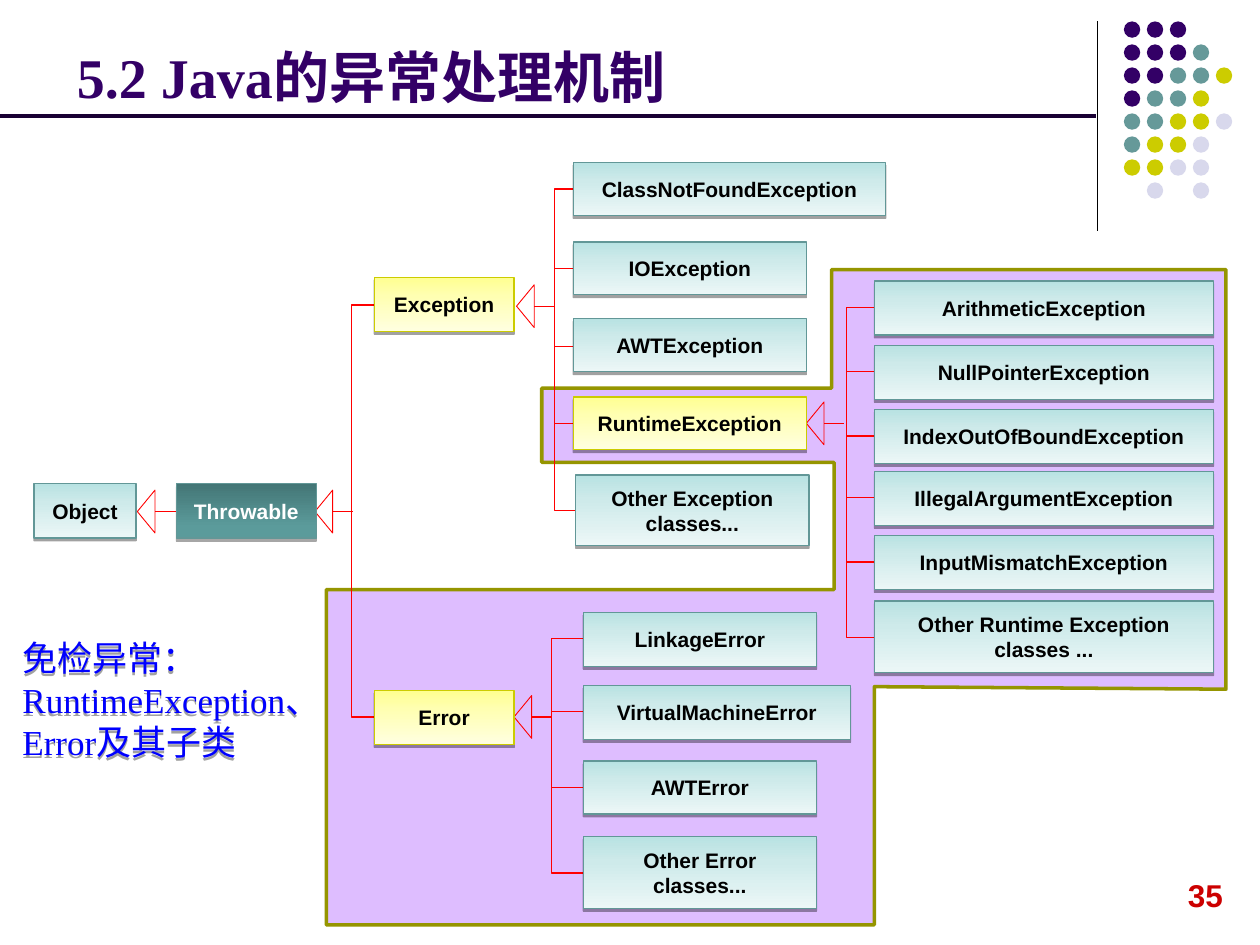
from copy import deepcopy
from dataclasses import dataclass

from lxml import etree
from pptx import Presentation, util as u
from pptx.dml.color import RGBColor
from pptx.enum import shapes, text
from pptx.oxml.ns import qn

PX = 9144


@dataclass(frozen=True)
class BoxStyle:
    """Look of one kind of class box."""
    stops: tuple
    line: str
    ink: str = "000000"
    shadow_alpha: int = 37
    shadow_distance: float = 1.6


@dataclass(frozen=True)
class Theme:
    """Colours, fonts and type sizes of the slide."""
    title: str = "330066"
    rule: str = "190033"
    divider: str = "000000"
    wire: str = "FF0000"
    note: str = "0000FF"
    number: str = "CC0000"
    region: str = "AD5CFF"
    region_line: str = "959500"
    sans: str = "Arial"
    serif: str = "Times New Roman"
    title_size: int = 32
    note_size: int = 20
    number_size: int = 18
    box_size: int = 12


THEME = Theme()
DOT_COLOURS = {"P": "330066", "T": "669999", "Y": "CCCC00", "L": "D8D8EC"}
DOT_ROWS = ("PPP", "PPPT", "PPTTY", "PTTY", "TTYYL", "TYYL", "YYLL", " L L")
PLAIN = BoxStyle(((0, "B8E2E2"), (0.35, "CEEAEA"), (1, "ECF7F7")), "629797")
PARENT = BoxStyle(((0, "FFFF90"), (0.35, "FFFFB2"), (1, "FFFFE0")), "CCCC00")
ROOT = BoxStyle(((0, "447676"), (0.8, "5B9B9B"), (1, "5A9D9D")), "629797", "FFFFFF", 34, 1.8)

REGION = ((430, 308), (660, 308), (660, 214), (973, 214), (973, 547), (694, 545),
          (694, 734), (259, 734), (259, 468), (662, 468), (662, 367), (430, 367))
BOXES = (
    (PLAIN, "Object", 27, 384, 81, 43),
    (ROOT, "Throwable", 140, 384, 111, 43),
    (PARENT, "Exception", 297, 220, 111, 43),
    (PARENT, "Error", 297, 548, 111, 43),
    (PLAIN, "ClassNotFoundException", 455, 129, 248, 42),
    (PLAIN, "IOException", 455, 192, 185, 42),
    (PLAIN, "AWTException", 455, 253, 185, 42),
    (PARENT, "RuntimeException", 455, 315, 185, 42),
    (PLAIN, "Other Exception classes...", 457, 377, 185, 56),
    (PLAIN, "LinkageError", 463, 486, 185, 43),
    (PLAIN, "VirtualMachineError", 463, 544, 212, 43),
    (PLAIN, "AWTError", 463, 604, 185, 42),
    (PLAIN, "Other Error classes...", 463, 664, 185, 57),
    (PLAIN, "ArithmeticException", 694, 223, 269, 43),
    (PLAIN, "NullPointerException", 694, 274, 269, 43),
    (PLAIN, "IndexOutOfBoundException", 694, 325, 269, 43),
    (PLAIN, "IllegalArgumentException", 694, 374, 269, 43),
    (PLAIN, "InputMismatchException", 694, 425, 269, 43),
    (PLAIN, "Other Runtime Exception classes ...", 694, 477, 269, 57),
)
ARROWS = ((109, 406, 153), (250, 406, 280), (410, 243, 440), (408, 569, 437), (640, 336, 670))
BRACKETS = (
    (297, 279, ((242, 569),)),
    (455, 440, ((150, 405), (213, 275), (275, 336))),
    (463, 438, ((507, 693), (565, 625))),
    (694, 672, ((244, 506), (295, 395), (346, 446))),
)


def px(*lengths):
    """Turn lengths in px into EMU."""
    return [u.Emu(round(length * PX)) for length in lengths]


def set_font(paragraph, name, size, colour, bold=False):
    """Set the font of a whole paragraph."""
    font = paragraph.font
    font.name, font.size, font.bold = name, u.Pt(size), bold
    font.color.rgb = RGBColor.from_string(colour)


def set_line(shape, colour, width):
    """Set the colour and width of an outline."""
    shape.line.color.rgb = RGBColor.from_string(colour)
    shape.line.width = u.Pt(width)


def add_shadow(shape, alpha, distance):
    """Give a shape a sharp shadow straight below it."""
    shape.shadow.inherit = False
    effects = shape._element.spPr.find(qn("a:effectLst"))
    shadow = etree.SubElement(effects, qn("a:outerShdw"), blurRad="0", dist=str(u.Pt(distance)),
                              dir="5400000", algn="ctr", rotWithShape="0")
    colour = etree.SubElement(shadow, qn("a:srgbClr"), val="000000")
    etree.SubElement(colour, qn("a:alpha"), val=str(alpha * 1000))


def add_line(parent, start, end, colour, width, kind=shapes.MSO_CONNECTOR.STRAIGHT):
    """Draw a connector without a shadow."""
    line = parent.add_connector(kind, *px(*start, *end))
    set_line(line, colour, width)
    etree.SubElement(line._element.spPr, qn("a:effectLst"))
    return line


def add_bracket(slide, left, trunk, top, bottom):
    """Join two boxes by an elbow that runs along a trunk on their left."""
    overlap = 2
    elbow = add_line(slide.shapes, (left, top), (left + overlap, bottom), THEME.wire, 0.75,
                     shapes.MSO_CONNECTOR.ELBOW)
    bend = round((trunk - left) / overlap * 100000)
    guides = elbow._element.spPr.find(qn("a:prstGeom")).find(qn("a:avLst"))
    etree.SubElement(guides, qn("a:gd"), name="adj1", fmla=f"val {bend}")


def add_arrow(slide, tip, middle, end):
    """Draw a hollow inheritance arrow that points left."""
    width, depth = 34, 14
    group = slide.shapes.add_group_shape()
    left = tip + (depth - width) / 2
    head = group.shapes.add_shape(shapes.MSO_SHAPE.ISOSCELES_TRIANGLE,
                                  *px(left, middle - depth / 2, width, depth))
    head.rotation = 270
    head.fill.background()
    head.shadow.inherit = False
    set_line(head, THEME.wire, 0.5)
    add_line(group.shapes, (tip + depth, middle), (end, middle), THEME.wire, 0.75)


def add_box(slide, style, label, *place):
    """Draw a shaded class box with its name."""
    box = slide.shapes.add_shape(shapes.MSO_SHAPE.RECTANGLE, *px(*place))
    box.fill.gradient()
    box.fill.gradient_angle = 270
    stop_list = box._element.spPr.find(qn("a:gradFill")).find(qn("a:gsLst"))
    stop_list.insert(1, deepcopy(stop_list[0]))
    for stop, (position, colour) in zip(box.fill.gradient_stops, style.stops):
        stop.position = position
        stop.color.rgb = RGBColor.from_string(colour)
    set_line(box, style.line, 0.75)
    add_shadow(box, style.shadow_alpha, style.shadow_distance)
    frame = box.text_frame
    frame.text = label
    frame.word_wrap = True
    frame.vertical_anchor = text.MSO_ANCHOR.MIDDLE
    frame.paragraphs[0].alignment = text.PP_ALIGN.CENTER
    set_font(frame.paragraphs[0], THEME.sans, THEME.box_size, style.ink, True)


def add_region(slide):
    """Draw the see-through area of unchecked exceptions."""
    builder = slide.shapes.build_freeform(*REGION[0], scale=PX)
    builder.add_line_segments(REGION[1:], close=True)
    region = builder.convert_to_shape()
    region.fill.solid()
    region.fill.fore_color.rgb = RGBColor.from_string(THEME.region)
    colour = region._element.spPr.find(qn("a:solidFill"))[0]
    etree.SubElement(colour, qn("a:alpha"), val="40000")
    region.shadow.inherit = False
    set_line(region, THEME.region_line, 2)


def add_dots(slide):
    """Draw the grid of coloured dots in the corner."""
    step = 18.25
    for row, letters in enumerate(DOT_ROWS):
        for column, letter in enumerate(letters):
            if letter in DOT_COLOURS:
                place = px(892 + step * column, 17 + step * row, 13, 13)
                dot = slide.shapes.add_shape(shapes.MSO_SHAPE.OVAL, *place)
                dot.fill.solid()
                dot.fill.fore_color.rgb = RGBColor.from_string(DOT_COLOURS[letter])
                dot.line.fill.background()
                dot.shadow.inherit = False


def add_text(slide, content, place, wrap, *font):
    """Add a text box that grows with its text."""
    box = slide.shapes.add_textbox(*px(*place))
    frame = box.text_frame
    frame.text = content
    frame.word_wrap = wrap
    frame.auto_size = text.MSO_AUTO_SIZE.SHAPE_TO_FIT_TEXT
    for paragraph in frame.paragraphs:
        set_font(paragraph, *font)
    return box


def set_title(slide, content):
    """Place and format the title."""
    title = slide.shapes.title
    title.left, title.top, title.width, title.height = px(51, 13, 825, 79)
    frame = title.text_frame
    frame.text = content
    frame.vertical_anchor = text.MSO_ANCHOR.BOTTOM
    frame.paragraphs[0].alignment = text.PP_ALIGN.LEFT
    set_font(frame.paragraphs[0], THEME.serif, THEME.title_size, THEME.title, True)


def main():
    """Build the slide and save it."""
    presentation = Presentation()
    presentation.slide_width, presentation.slide_height = px(1000, 750)
    slide = presentation.slides.add_slide(presentation.slide_layouts[5])
    set_title(slide, "5.2 Java的异常处理机制")
    add_line(slide.shapes, (871, 17), (871, 183), THEME.divider, 0.75)
    add_dots(slide)
    add_text(slide, "35", (933, 690, 48, 40), False,
             THEME.sans, THEME.number_size, THEME.number, True)
    add_region(slide)
    for left, trunk, spans in BRACKETS:
        for span in spans:
            add_bracket(slide, left, trunk, *span)
    for arrow in ARROWS:
        add_arrow(slide, *arrow)
    for box in BOXES:
        add_box(slide, *box)
    note = add_text(slide, "免检异常：\nRuntimeException、Error及其子类", (8, 500, 288, 111), True,
                    THEME.serif, THEME.note_size, THEME.note)
    add_shadow(note, PLAIN.shadow_alpha, PLAIN.shadow_distance)
    add_line(slide.shapes, (0, 92), (870, 92), THEME.rule, 2.25)
    presentation.save("out.pptx")


if __name__ == "__main__":
    main()
